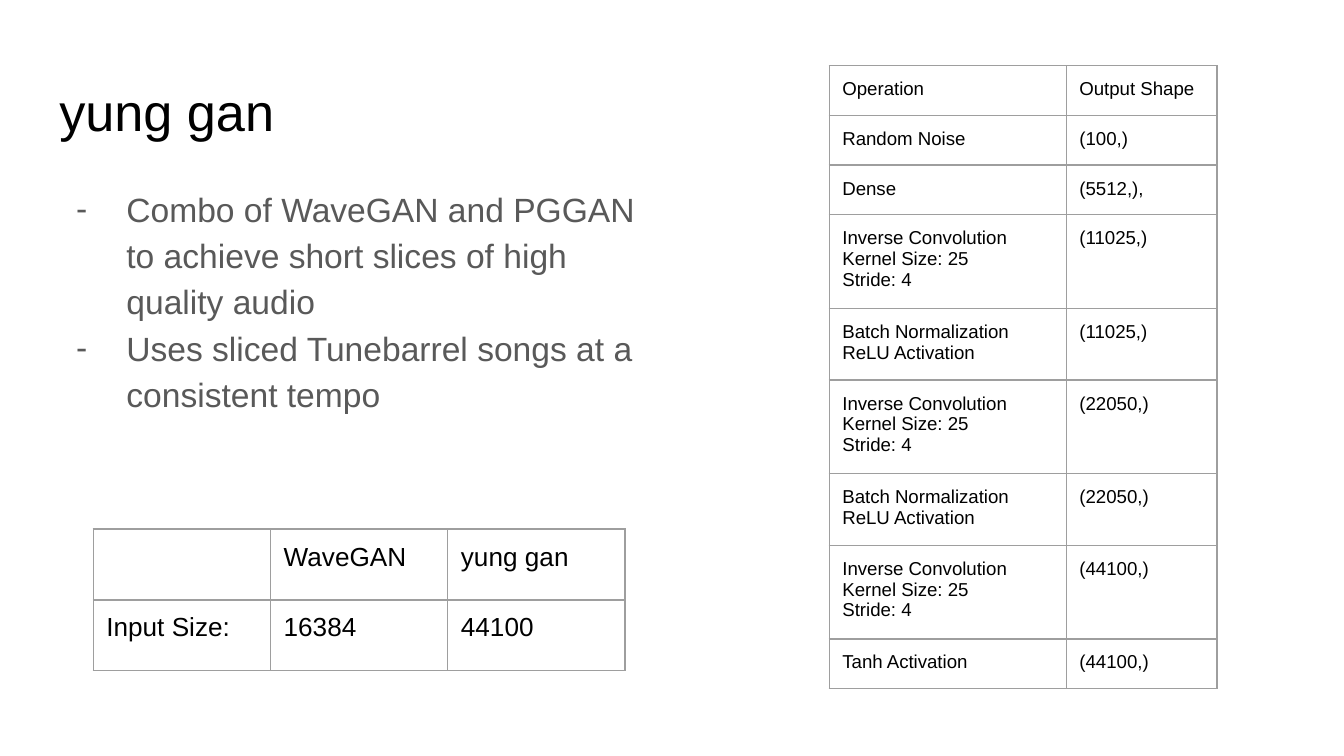
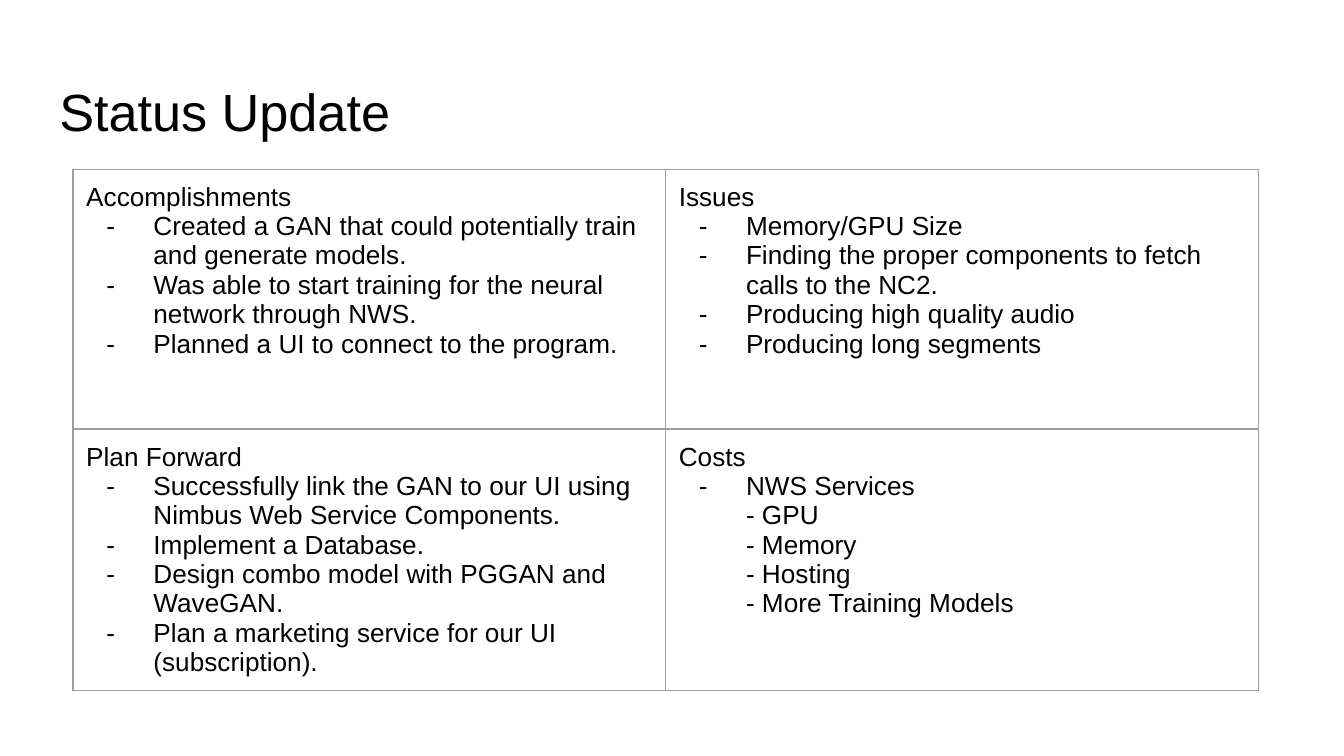
from collections import namedtuple

from lxml.etree import SubElement
from pptx import Presentation
from pptx.dml.color import RGBColor
from pptx.enum.text import MSO_ANCHOR, MSO_AUTO_SIZE, PP_ALIGN
from pptx.oxml.ns import qn
from pptx.util import Cm, Pt

BLACK = RGBColor(0x00, 0x00, 0x00)
GREY = RGBColor(0x59, 0x59, 0x59)
BORDER = RGBColor(0x9E, 0x9E, 0x9E)
FONT = "Arial"
INSET = Cm(0.25)
INDENT = Cm(1.27)

Line = namedtuple("Line", "text indent hanging", defaults=(0, 0))

CONVOLUTION = ["Inverse Convolution", "Kernel Size: 25", "Stride: 4"]
NORMALIZATION = ["Batch Normalization", "ReLU Activation"]


def bullets(*texts, hanging=Cm(0.89)):
    """Return dash-bulleted lines."""
    return [Line(text, INDENT, hanging) for text in texts]


def indented(*texts):
    """Return lines that align with bulleted text but carry no bullet."""
    return [Line(text, INDENT) for text in texts]


def add_dash(properties, color):
    """Give a paragraph a dash bullet in the given colour."""
    bullet_color = SubElement(properties, qn("a:buClr"))
    SubElement(bullet_color, qn("a:srgbClr"), val=str(color))
    SubElement(properties, qn("a:buFont"), typeface=FONT)
    SubElement(properties, qn("a:buChar"), char="-")


def write(frame, lines, size=14, color=BLACK, spacing=None):
    """Fill a text frame with plain strings or Line items."""
    frame.word_wrap = True
    for index, line in enumerate(lines):
        if isinstance(line, str):
            line = Line(line)
        paragraph = frame.paragraphs[0] if index == 0 else frame.add_paragraph()
        paragraph.alignment = PP_ALIGN.LEFT
        if spacing:
            paragraph.line_spacing = spacing
        properties = paragraph._p.get_or_add_pPr()
        properties.set("marL", str(line.indent))
        properties.set("indent", str(-line.hanging))
        if line.hanging:
            add_dash(properties, color)
        run = paragraph.add_run()
        run.text = line.text
        run.font.name = FONT
        run.font.size = Pt(size)
        run.font.color.rgb = color


def set_insets(target):
    """Apply the shared inner margin to a cell or text frame."""
    target.margin_left = target.margin_right = INSET
    target.margin_top = target.margin_bottom = INSET


def outline_cell(cell):
    """Draw the thin grey border on all four sides of a cell."""
    properties = cell._tc.get_or_add_tcPr()
    for side in ("a:lnL", "a:lnR", "a:lnT", "a:lnB"):
        edge = SubElement(properties, qn(side), w=str(Pt(0.75)))
        fill = SubElement(edge, qn("a:solidFill"))
        SubElement(fill, qn("a:srgbClr"), val=str(BORDER))


def add_grid(slide, left, top, widths, heights, rows, size=14):
    """Add an outlined, unfilled table of line lists."""
    table = slide.shapes.add_table(
        len(heights), len(widths), left, top, sum(widths), sum(heights)
    ).table
    table.first_row = table.horz_banding = False
    for column, width in zip(table.columns, widths):
        column.width = width
    for row, height, contents in zip(table.rows, heights, rows):
        row.height = height
        for cell, lines in zip(row.cells, contents):
            set_insets(cell)
            outline_cell(cell)
            cell.fill.background()
            write(cell.text_frame, lines, size=size)


def add_titled_slide(deck, text):
    """Add a title-only slide with the shared title style."""
    slide = deck.slides.add_slide(deck.slide_layouts[5])
    title = slide.shapes.title
    title.left, title.top = Cm(0.87), Cm(1.24)
    title.width, title.height = Cm(23.67), Cm(1.6)
    frame = title.text_frame
    frame.auto_size = MSO_AUTO_SIZE.NONE
    frame.vertical_anchor = MSO_ANCHOR.TOP
    set_insets(frame)
    write(frame, [text], size=28)
    return slide


def add_body(slide, lines):
    """Add the grey bulleted description."""
    body = slide.shapes.add_textbox(Cm(0.87), Cm(3.2), Cm(11.84), Cm(6.8))
    set_insets(body.text_frame)
    write(body.text_frame, lines, size=18, color=GREY, spacing=1.15)


def add_model_slide(deck):
    """Build the slide on the model and its layers."""
    slide = add_titled_slide(deck, "yung gan")
    add_body(slide, bullets(
        "Combo of WaveGAN and PGGAN to achieve short slices of high quality audio",
        "Uses sliced Tunebarrel songs at a consistent tempo",
        hanging=Cm(0.95),
    ))
    input_sizes = [
        [[], ["WaveGAN"], ["yung gan"]],
        [["Input Size:"], ["16384"], ["44100"]],
    ]
    add_grid(slide, Cm(1.76), Cm(10), [Cm(3.35)] * 3, [Cm(1.34)] * 2, input_sizes)
    layers = [
        (["Operation"], "Output Shape"),
        (["Random Noise"], "(100,)"),
        (["Dense"], "(5512,),"),
        (CONVOLUTION, "(11025,)"),
        (NORMALIZATION, "(11025,)"),
        (CONVOLUTION, "(22050,)"),
        (NORMALIZATION, "(22050,)"),
        (CONVOLUTION, "(44100,)"),
        (["Tanh Activation"], "(44100,)"),
    ]
    height_by_lines = {1: Cm(0.94), 2: Cm(1.2), 3: Cm(1.58)}
    add_grid(
        slide, Cm(15.67), Cm(1.24), [Cm(4.48), Cm(2.85)],
        [height_by_lines[len(operation)] for operation, _ in layers],
        [[operation, [shape]] for operation, shape in layers],
        size=10,
    )


def add_status_slide(deck):
    """Build the four-part status slide."""
    slide = add_titled_slide(deck, "Status Update")
    accomplishments = ["Accomplishments"] + bullets(
        "Created a GAN that could potentially train and generate models.",
        "Was able to start training for the neural network through NWS.",
        "Planned a UI to connect to the program.",
    )
    issues = ["Issues"] + bullets(
        "Memory/GPU Size",
        "Finding the proper components to fetch calls to the NC2.",
        "Producing high quality audio",
        "Producing long segments",
    )
    plan = ["Plan Forward"] + bullets(
        "Successfully link the GAN to our UI using Nimbus Web Service Components.",
        "Implement a Database.",
        "Design combo model with PGGAN and WaveGAN.",
        "Plan a marketing service for our UI (subscription).",
    )
    costs = ["Costs"] + bullets("NWS Services") + indented(
        "- GPU", "- Memory", "- Hosting", "- More Training Models"
    )
    add_grid(
        slide, Cm(1.38), Cm(3.2), [Cm(11.2)] * 2, [Cm(4.91)] * 2,
        [[accomplishments, issues], [plan, costs]],
    )


def main():
    """Build and save the deck."""
    deck = Presentation()
    deck.slide_width, deck.slide_height = Cm(25.4), Cm(14.29)
    add_model_slide(deck)
    add_status_slide(deck)
    deck.save("out.pptx")


if __name__ == "__main__":
    main()
